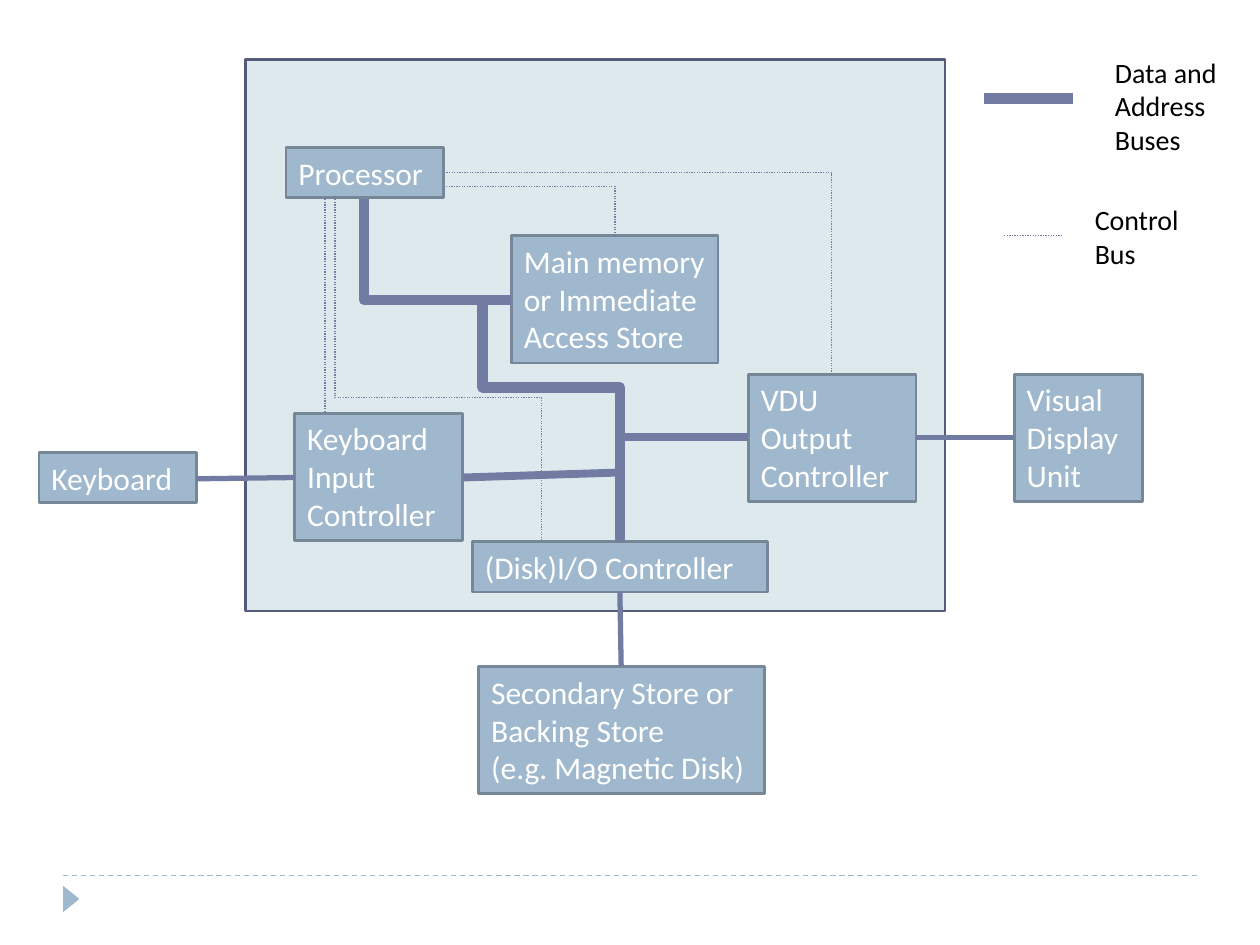
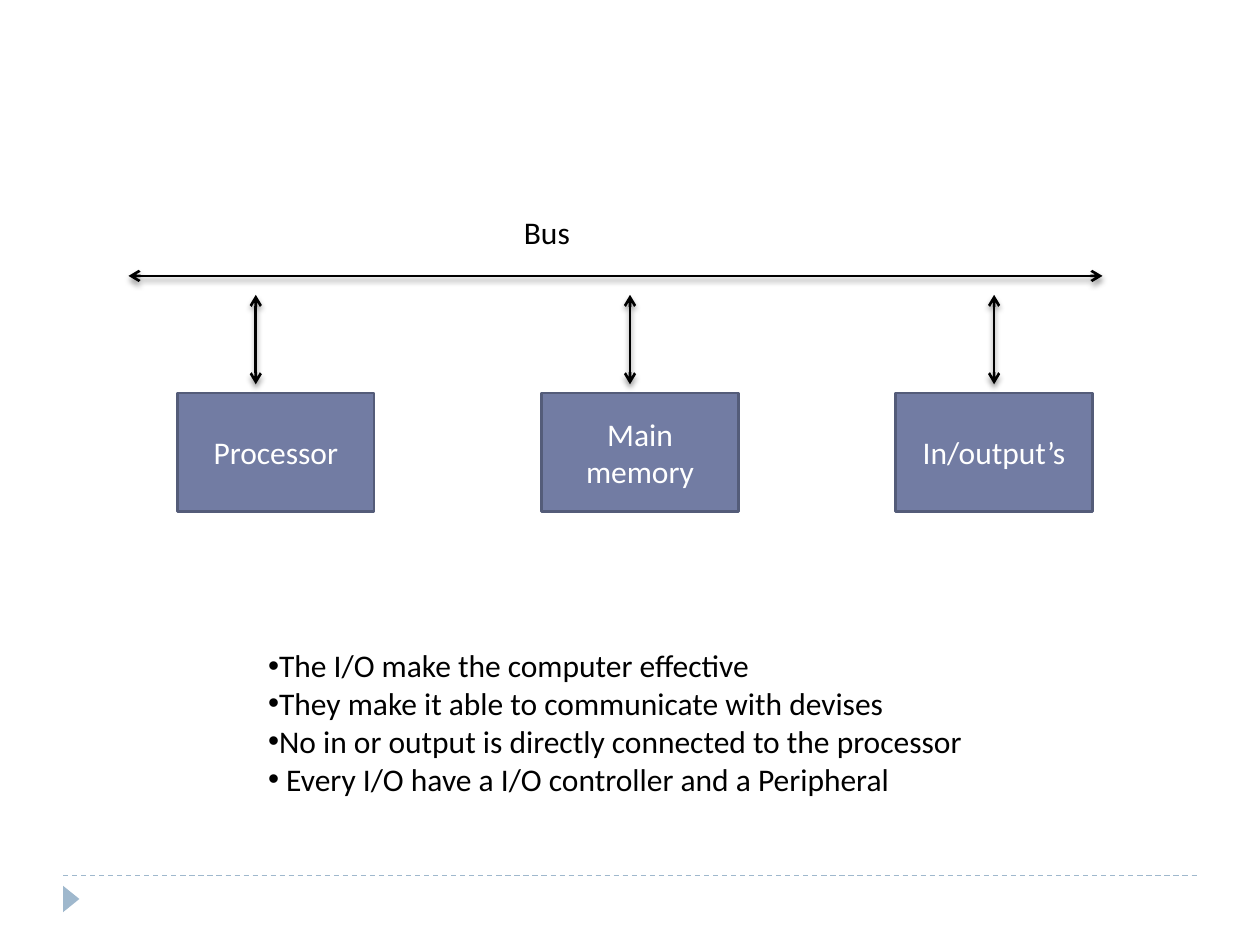
from dataclasses import dataclass

from lxml.etree import SubElement
from pptx import Presentation
from pptx.dml.color import RGBColor
from pptx.enum.dml import MSO_LINE
from pptx.enum.shapes import MSO_CONNECTOR, MSO_SHAPE
from pptx.enum.text import MSO_ANCHOR, MSO_AUTO_SIZE, PP_ALIGN
from pptx.oxml.ns import qn
from pptx.shapes.autoshape import Shape
from pptx.shapes.connector import Connector
from pptx.slide import Slide
from pptx.text.text import TextFrame
from pptx.util import Emu, Pt

FONT = "Calibri"
WHITE, BLACK = "FFFFFF", "000000"
SKY, STEEL, PALE = "9FB8CD", "768898", "DDE9EC"
INDIGO, NAVY = "727CA3", "545C79"
THIN, LINK, BRANCH, TRUNK = 0.75, 3, 4.5, 6
CORNER = 1000


@dataclass(frozen=True)
class Box:
    x: int
    y: int
    w: int
    h: int
    text: str = ""


@dataclass(frozen=True)
class Wire:
    """A line; bend is in thousandths of its height, 0 being straight."""
    x1: int
    y1: int
    x2: int
    y2: int
    weight: float
    bend: int = 0


PANEL = Box(195, 47, 555, 438)
UNITS = [
    Box(227, 117, 125, 40, "Processor"),
    Box(406, 187, 164, 101, "Main memory or Immediate\nAccess Store"),
    Box(234, 328, 133, 101, "Keyboard Input Controller"),
    Box(375, 430, 234, 40, "(Disk)I/O Controller"),
    Box(594, 297, 133, 101, "VDU Output Controller"),
    Box(380, 529, 227, 101,
        "Secondary Store or Backing Store\n(e.g. Magnetic Disk)"),
    Box(31, 359, 125, 40, "Keyboard"),
    Box(805, 297, 102, 101, "Visual Display Unit"),
]
WIRES = [
    Wire(492, 430, 383, 242, TRUNK, 652),
    Wire(289, 158, 406, 238, TRUNK, CORNER),
    Wire(367, 379, 492, 375, BRANCH),
    Wire(492, 347, 594, 347, BRANCH),
    Wire(492, 470, 493, 529, LINK),
    Wire(234, 379, 156, 380, LINK),
    Wire(727, 347, 805, 347, LINK),
    Wire(258, 156, 258, 328, THIN),
    Wire(660, 297, 352, 137, THIN, CORNER),
    Wire(488, 187, 352, 148, THIN, CORNER),
    Wire(266, 156, 430, 430, THIN, 583),
    Wire(781, 78, 852, 78, TRUNK),
    Wire(797, 187, 844, 187, THIN),
]
LEGEND = [
    Box(875, 39, 125, 91, "Data and Address Buses"),
    Box(859, 156, 109, 64, "Control Bus"),
]

PARTS = [
    Box(141, 312, 156, 94, "Processor"),
    Box(711, 312, 156, 94, "In/output’s"),
    Box(430, 312, 156, 94, "Main\nmemory"),
]
ARROWS = [Wire(102, 219, 875, 219, 1.5)] + [
    Wire(x, 234, x, 305, 1.5) for x in (203, 789, 500)
]
BUS = Box(406, 164, 57, 40, "Bus")
NOTES = Box(203, 508, 584, 131, "\n".join([
    "The I/O make the computer effective",
    "They make it able to communicate with devises",
    "No in or output is directly connected to the processor",
    " Every I/O have a I/O controller and a Peripheral",
]))


def px(count: float) -> Emu:
    """Turn px, 100 to the inch, into EMU."""
    return Emu(round(count * 9144))


def tint(code: str) -> RGBColor:
    return RGBColor.from_string(code)


def write(frame: TextFrame, text: str, color: str, size: int = 18,
          align: PP_ALIGN = PP_ALIGN.LEFT) -> None:
    frame.text = text
    for para in frame.paragraphs:
        para.alignment = align
        para.font.name = FONT
        para.font.size = Pt(size)
        para.font.color.rgb = tint(color)


def draw_box(slide: Slide, box: Box, fill: str, edge: str | None = None,
             kind: MSO_SHAPE = MSO_SHAPE.RECTANGLE,
             center: bool = False) -> Shape:
    shape = slide.shapes.add_shape(
        kind, px(box.x), px(box.y), px(box.w), px(box.h))
    shape.shadow.inherit = False
    shape.fill.solid()
    shape.fill.fore_color.rgb = tint(fill)
    if edge:
        shape.line.color.rgb = tint(edge)
        shape.line.width = Pt(1.5)
    else:
        shape.line.fill.background()
    if box.text:
        frame = shape.text_frame
        frame.word_wrap = True
        frame.vertical_anchor = MSO_ANCHOR.MIDDLE if center else MSO_ANCHOR.TOP
        write(frame, box.text, WHITE,
              align=PP_ALIGN.CENTER if center else PP_ALIGN.LEFT)
    return shape


def draw_text(slide: Slide, box: Box, size: int = 18,
              wrap: bool = False) -> TextFrame:
    frame = slide.shapes.add_textbox(
        px(box.x), px(box.y), px(box.w), px(box.h)).text_frame
    frame.word_wrap = wrap
    frame.auto_size = MSO_AUTO_SIZE.SHAPE_TO_FIT_TEXT
    write(frame, box.text, BLACK, size)
    return frame


def bend_wire(line: Connector, wire: Wire) -> None:
    """Turn the elbow a quarter so that it leaves its start upright."""
    wide, high = wire.x2 - wire.x1, wire.y2 - wire.y1
    line.width, line.height = px(abs(high)), px(abs(wide))
    line.left = px((wire.x1 + wire.x2 - abs(high)) / 2)
    line.top = px((wire.y1 + wire.y2 - abs(wide)) / 2)
    props = line._element.spPr
    frame = props.find(qn("a:xfrm"))
    frame.set("rot", str(270 * 60000))
    frame.set("flipH", str(int(high > 0)))
    frame.set("flipV", str(int(wide < 0)))
    form = props.find(qn("a:prstGeom"))
    if wire.bend == CORNER:
        form.set("prst", "bentConnector2")
    else:
        guides = form.find(qn("a:avLst"))
        if guides is None:
            guides = SubElement(form, qn("a:avLst"))
        SubElement(guides, qn("a:gd"), name="adj1", fmla=f"val {wire.bend * 100}")


def draw_wire(slide: Slide, wire: Wire, color: str,
              dash: MSO_LINE | None = None, arrow: bool = False) -> None:
    kind = MSO_CONNECTOR.ELBOW if wire.bend else MSO_CONNECTOR.STRAIGHT
    line = slide.shapes.add_connector(
        kind, px(wire.x1), px(wire.y1), px(wire.x2), px(wire.y2))
    if wire.bend:
        bend_wire(line, wire)
    line.line.color.rgb = tint(color)
    line.line.width = Pt(wire.weight)
    if dash:
        line.line.dash_style = dash
    props = line._element.spPr
    effects = SubElement(props, qn("a:effectLst"))
    if arrow:
        stroke = props.find(qn("a:ln"))
        for end in ("a:headEnd", "a:tailEnd"):
            SubElement(stroke, qn(end), type="arrow")
        shade = SubElement(effects, qn("a:outerShdw"), blurRad=str(Pt(3)),
                           dist=str(Pt(2)), dir="5400000", rotWithShape="0")
        ink = SubElement(shade, qn("a:srgbClr"), val=BLACK)
        SubElement(ink, qn("a:alpha"), val="40000")


def add_bullets(frame: TextFrame) -> None:
    for para in frame.paragraphs:
        props = para._p.get_or_add_pPr()
        mark = props.makeelement(qn("a:buChar"), {"char": "•"})
        face = props.makeelement(qn("a:buFont"), {"typeface": "Arial"})
        props.insert(0, face)
        props.insert(1, mark)


def new_slide(deck: Presentation) -> Slide:
    """Add a blank slide with the shared footer rule and marker."""
    slide = deck.slides.add_slide(deck.slide_layouts[6])
    draw_wire(slide, Wire(50, 695, 950, 695, THIN), SKY, MSO_LINE.DASH)
    mark = draw_box(slide, Box(46, 707, 21, 13), SKY,
                    kind=MSO_SHAPE.ISOSCELES_TRIANGLE)
    mark.rotation = 90
    return slide


def draw_system(deck: Presentation) -> None:
    slide = new_slide(deck)
    draw_box(slide, PANEL, PALE, NAVY)
    for unit in UNITS:
        draw_box(slide, unit, SKY, STEEL)
    for wire in WIRES:
        dash = MSO_LINE.ROUND_DOT if wire.weight == THIN else None
        draw_wire(slide, wire, INDIGO, dash)
    for label in LEGEND:
        draw_text(slide, label, 16, wrap=True)


def draw_bus(deck: Presentation) -> None:
    slide = new_slide(deck)
    for part in PARTS:
        draw_box(slide, part, INDIGO, NAVY, center=True)
    for arrow in ARROWS:
        draw_wire(slide, arrow, BLACK, arrow=True)
    draw_text(slide, BUS)
    add_bullets(draw_text(slide, NOTES))


def main() -> None:
    deck = Presentation()
    deck.slide_width, deck.slide_height = px(1000), px(750)
    draw_system(deck)
    draw_bus(deck)
    deck.save("out.pptx")


if __name__ == "__main__":
    main()
